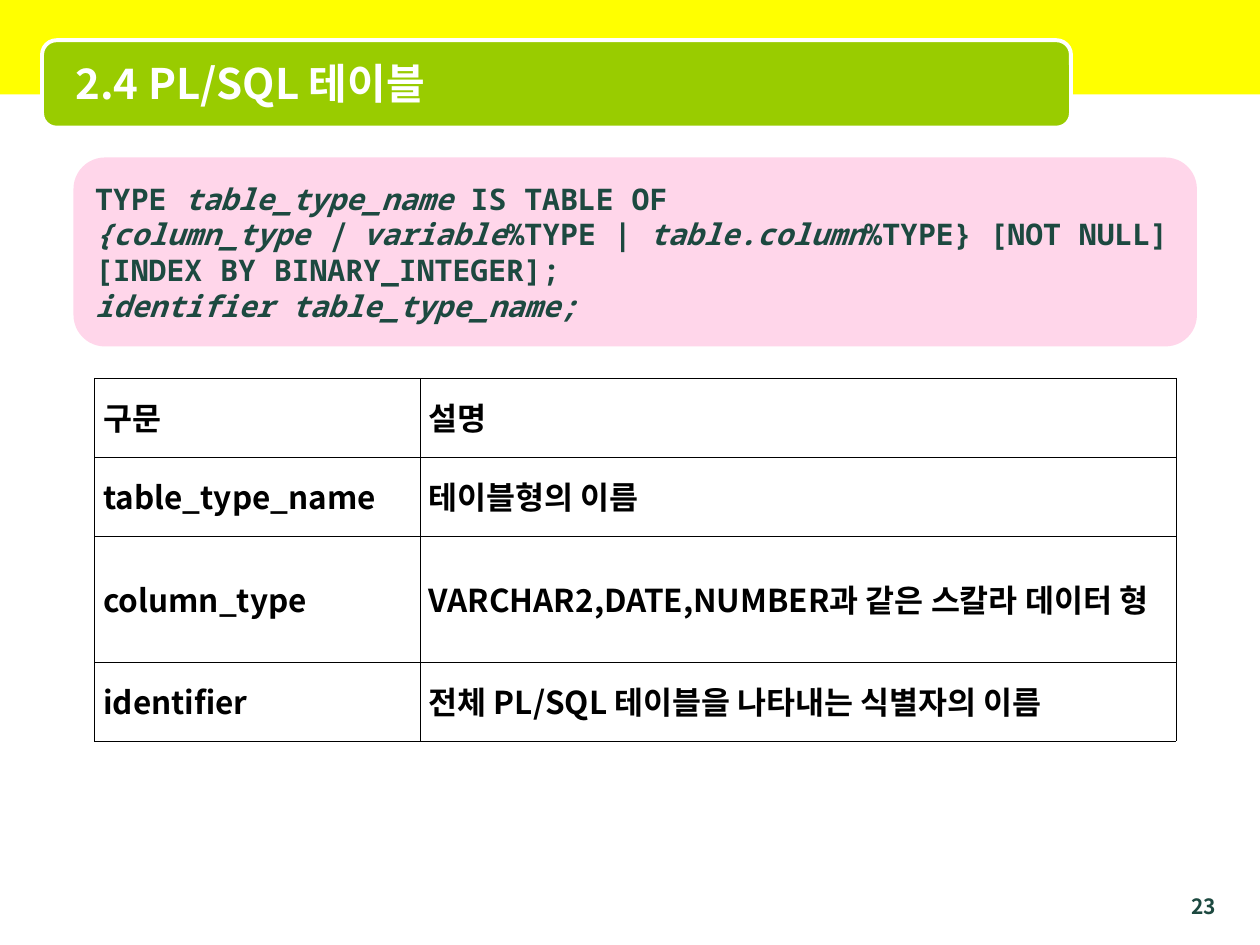
"""Build the slide on PL/SQL table syntax."""
from pptx import Presentation
from pptx.dml.color import RGBColor
from pptx.enum.shapes import MSO_SHAPE
from pptx.enum.text import MSO_ANCHOR, PP_ALIGN
from pptx.oxml.ns import qn
from pptx.util import Pt
from lxml import etree

RECTANGLE = MSO_SHAPE.RECTANGLE
ROUNDED = MSO_SHAPE.ROUNDED_RECTANGLE
MIDDLE = MSO_ANCHOR.MIDDLE
LEFT, RIGHT, JUSTIFY = PP_ALIGN.LEFT, PP_ALIGN.RIGHT, PP_ALIGN.JUSTIFY

YELLOW = RGBColor(0xFF, 0xFF, 0x00)
GREEN = RGBColor(0x99, 0xCC, 0x00)
PINK = RGBColor(0xFF, 0x99, 0xCC)
DARK_GREEN = RGBColor(0x1D, 0x49, 0x40)
WHITE = RGBColor(0xFF, 0xFF, 0xFF)
BLACK = RGBColor(0x00, 0x00, 0x00)
SANS = "Noto Sans CJK KR"
MONO = "Noto Sans Mono"

SYNTAX = [
    [("TYPE ", False), ("table_type_name", True), (" IS TABLE OF", False)],
    [("{column_type | variable", True), ("%TYPE |", False),
     (" table.column", True), ("%TYPE} [NOT NULL]", False)],
    [("[INDEX BY BINARY_INTEGER];", False)],
    [("identifier table_type_name;", True)],
]
ROWS = [
    ("구문", "설명", 45.2),
    ("table_type_name", "테이블형의 이름", 45.2),
    ("column_type", "VARCHAR2,DATE,NUMBER과 같은 스칼라 데이터 형", 72),
    ("identifier", "전체 PL/SQL 테이블을 나타내는 식별자의 이름", 45.2),
]
COLUMN_WIDTHS = (186, 432)


def style(paragraph, name, size, color, alignment=LEFT):
    paragraph.alignment = alignment
    font = paragraph.font
    font.name, font.size, font.bold = name, Pt(size), True
    font.color.rgb = color
    properties = paragraph._p.pPr.find(qn("a:defRPr"))
    etree.SubElement(properties, qn("a:ea"), typeface=name)


def add_block(kind, left, top, width, height, color):
    shape = slide.shapes.add_shape(kind, Pt(left), Pt(top), Pt(width), Pt(height))
    shape.shadow.inherit = False
    shape.fill.solid()
    shape.fill.fore_color.rgb = color
    shape.line.fill.background()
    return shape


presentation = Presentation()
presentation.slide_width, presentation.slide_height = Pt(720), Pt(540)
slide = presentation.slides.add_slide(presentation.slide_layouts[6])

add_block(RECTANGLE, 0, 0, 720, 54, YELLOW)
title_bar = add_block(ROUNDED, 24, 23, 588, 50, GREEN)
title_bar.line.color.rgb = WHITE
title_bar.line.width = Pt(2.25)

for text, left, top, width, height, size, color, alignment in (
    ("23", 666, 507, 36, 15, 12, DARK_GREEN, RIGHT),
    ("2.4 PL/SQL 테이블", 36, 25, 570, 45, 24, WHITE, LEFT),
):
    box = slide.shapes.add_textbox(Pt(left), Pt(top), Pt(width), Pt(height))
    box.text_frame.word_wrap = True
    box.text_frame.text = text
    style(box.text_frame.paragraphs[0], SANS, size, color, alignment)
box.text_frame.vertical_anchor = MIDDLE

table_frame = slide.shapes.add_table(
    len(ROWS), len(COLUMN_WIDTHS), Pt(54), Pt(216),
    Pt(sum(COLUMN_WIDTHS)), Pt(sum(row[2] for row in ROWS)))
table = table_frame.table
table.first_row = table.horz_banding = False
for column, width in zip(table.columns, COLUMN_WIDTHS):
    column.width = Pt(width)
for row, (term, meaning, height) in zip(table.rows, ROWS):
    row.height = Pt(height)
    for cell, text in zip(row.cells, (term, meaning)):
        cell.text = text
        cell.vertical_anchor = MIDDLE
        cell.margin_left = cell.margin_right = Pt(5)
        cell.margin_top = cell.margin_bottom = Pt(3.6)
        paragraph = cell.text_frame.paragraphs[0]
        paragraph.line_spacing = 0.96
        style(paragraph, SANS, 18, BLACK, JUSTIFY)
        cell_properties = cell._tc.get_or_add_tcPr()
        for side in ("L", "R", "T", "B"):
            border = etree.SubElement(
                cell_properties, qn(f"a:ln{side}"), w=str(Pt(0.11)))
            border_fill = etree.SubElement(border, qn("a:solidFill"))
            etree.SubElement(border_fill, qn("a:srgbClr"), val=str(BLACK))
        cell.fill.background()

syntax_box = add_block(ROUNDED, 42, 90, 642, 108, PINK)
pink_element = syntax_box._element.spPr.find(qn("a:solidFill"))[0]
etree.SubElement(pink_element, qn("a:alpha"), val="40000")
text_frame = syntax_box.text_frame
text_frame.word_wrap = False
text_frame.vertical_anchor = MIDDLE
for index, runs in enumerate(SYNTAX):
    paragraph = text_frame.add_paragraph() if index else text_frame.paragraphs[0]
    style(paragraph, MONO, 17, DARK_GREEN)
    for text, italic in runs:
        run = paragraph.add_run()
        run.text = text
        run.font.italic = italic

presentation.save("out.pptx")
